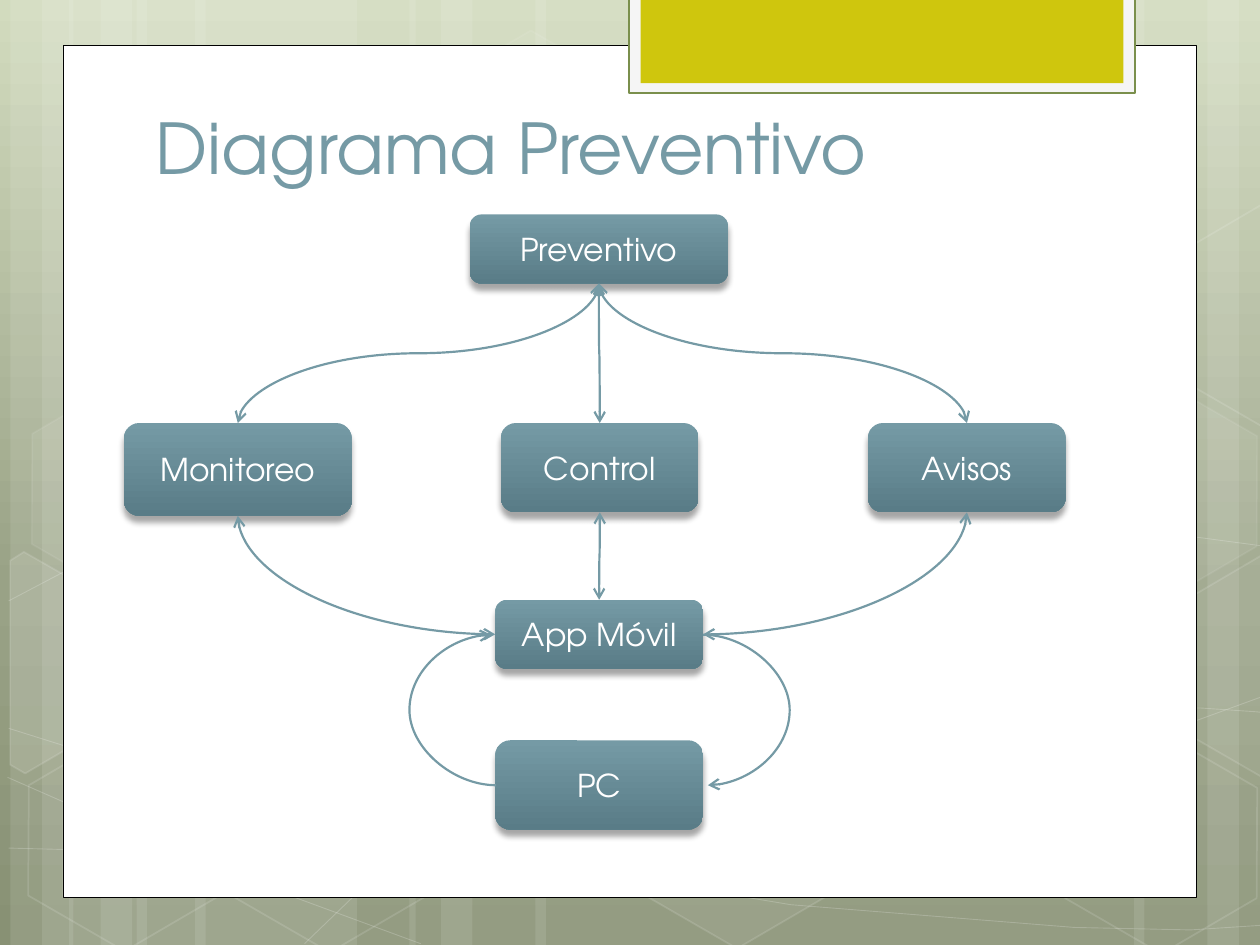
import copy
import dataclasses
import pptx
import pptx.dml.color
import pptx.enum.shapes
import pptx.enum.text
import pptx.oxml.ns
import pptx.util

Pt = pptx.util.Pt
qn = pptx.oxml.ns.qn
SHAPES = pptx.enum.shapes.MSO_SHAPE
ANCHOR = pptx.enum.text.MSO_ANCHOR
ALIGN = pptx.enum.text.PP_ALIGN
TOP, LEFT, BOTTOM, RIGHT = range(4)  # connection sites of a box

@dataclasses.dataclass(frozen=True)
class Theme:
    font: str = "TeX Gyre Adventor"
    title_size: float = 40
    box_size: float = 18
    accent: str = "759AA5"
    accent_dark: str = "597C87"
    white: str = "FFFFFF"
    black: str = "000000"
    tab_frame: str = "F5F5F5"
    tab_line: str = "7A8F4C"
    tab: str = "CFC60D"
    background: tuple = ((0, "D2DBBE"), (0.62, "99A286"), (1, "889174"))

THEME = Theme()

# Background decoration, in points: stripes as left and width
STRIPES = [(78, 126), (6, 36), (24, 60), (111.5, 126), (39.5, 36), (57.5, 60),
           (528, 126), (690, 36), (648, 60), (306, 222), (234, 36), (252, 60)]
# Fine lines that sweep across the slide
SWEEPS = [
    [(5, 484.6), (137, 488), (330, 479), (570, 444), (650, 424), (725, 396.7)],
    [(5, 343.4), (40, 325), (87, 310.3), (250, 278.6), (471, 278.6), (725, 312.5)],
    [(4.3, 444.2), (120, 495), (240.5, 539.3)],
    [(5, 416.2), (92, 443.5), (257, 484.6), (452, 517), (614, 530), (680.4, 531.4), (725, 528.5)],
    [(174, 539.3), (217.4, 497.5), (279.4, 460), (338.4, 438.5), (438, 416), (489.6, 409.7),
     (571.7, 404.6), (686, 404.6), (718, 406.8), (724.3, 407.5)],
]
# Hexagons: left, top, fill opacity (0 is no fill), line opacity
HEXAGONS = [(240.5, 26, 4, 8), (358, 424, 6, 12), (8, 425.5, 0, 12), (10, 224.6, 7, 8),
            (125.3, 426.2, 0, 12), (542, 326, 10, 12), (600.5, 427, 0, 12), (600.5, 226, 7, 8)]
LEFT_EDGE = [(5.8, 320.4), (13.7, 315.4), (69, 347), (68.4, 410.4), (14.4, 442), (5.8, 437)]
RIGHT_EDGE = [(666.7, 349.2), (720.7, 317.5), (726.5, 321), (726.5, 441.4), (721.4, 444.2), (666.7, 412.6)]
UPPER_EDGE = [(x, y - 200.4) for x, y in RIGHT_EDGE]

# Diagram boxes: left, top, width, height
BOXES = {
    "Preventivo": (268.5, 122.5, 147.5, 39.5),
    "Monitoreo": (70.75, 241.75, 130.25, 53),
    "Control": (286.25, 241.75, 113, 51),
    "Avisos": (496, 241.75, 113, 51),
    "App Móvil": (283, 342.75, 118.75, 39.5),
    "PC": (283, 423, 118.75, 51),
}
LINKS = [("Preventivo", "Monitoreo", TOP), ("Monitoreo", "App Móvil", LEFT),
         ("Preventivo", "Control", TOP), ("Preventivo", "Avisos", TOP),
         ("Control", "App Móvil", TOP), ("Avisos", "App Móvil", RIGHT)]
LOOPS = [(401.75, 362.75, 404.5, 448.75), (283.5, 448.75, 280.75, 362.75)]

def rgb(color):
    return pptx.dml.color.RGBColor.from_string(color)

def add_child(parent, tag, **attributes):
    child = parent.makeelement(qn(tag), {key: str(value) for key, value in attributes.items()})
    parent.append(child)
    return child

def set_gradient(fill, owner, stops):
    """Fill downwards through (position, color) stops."""
    fill.gradient()
    fill.gradient_angle = 270
    stop_list = next(owner.iter(qn("a:gsLst")))
    while len(stop_list) < len(stops):
        stop_list.append(copy.deepcopy(stop_list[-1]))
    for stop, (position, color) in zip(fill.gradient_stops, stops):
        stop.position = position
        stop.color.rgb = rgb(color)

def paint(fill, owner, color, opacity):
    if color is None:
        fill.background()
        return
    fill.solid()
    fill.fore_color.rgb = rgb(color)
    if opacity < 100:
        add_child(owner.find(qn("a:solidFill"))[0], "a:alpha", val=opacity * 1000)

def style(shape, fill=None, line=None, line_width=1, fill_opacity=100, line_opacity=100):
    shape.shadow.inherit = False
    shape.line.width = Pt(line_width)
    properties = shape.element.spPr
    paint(shape.fill, properties, fill, fill_opacity)
    paint(shape.line.fill, properties.find(qn("a:ln")), line, line_opacity)

def add_preset(slide, kind, left, top, width, height, **look):
    shape = slide.shapes.add_shape(kind, Pt(left), Pt(top), Pt(width), Pt(height))
    style(shape, **look)
    return shape

def add_outline(slide, points, close, **look):
    points = [(Pt(x), Pt(y)) for x, y in points]
    builder = slide.shapes.build_freeform(*points[0])
    builder.add_line_segments(points[1:], close=close)
    style(builder.convert_to_shape(), line=THEME.white, **look)

def add_text(shape, text, size, color, anchor, align):
    frame = shape.text_frame
    frame.word_wrap = True
    frame.vertical_anchor = anchor
    paragraph = frame.paragraphs[0]
    paragraph.alignment = align
    run = paragraph.add_run()
    run.text = text
    run.font.name = THEME.font
    run.font.size = Pt(size)
    run.font.color.rgb = rgb(color)

def add_box(slide, text, bounds):
    shape = add_preset(slide, SHAPES.ROUNDED_RECTANGLE, *bounds)
    set_gradient(shape.fill, shape.element, ((0, THEME.accent), (1, THEME.accent_dark)))
    shadow = add_child(shape.element.spPr.find(qn("a:effectLst")), "a:outerShdw", blurRad=Pt(3.5),
                       dist=Pt(4), dir=5400000, algn="ctr", rotWithShape=0)
    add_child(add_child(shadow, "a:srgbClr", val=THEME.black), "a:alpha", val=34000)
    add_text(shape, text, THEME.box_size, THEME.white, ANCHOR.MIDDLE, ALIGN.CENTER)
    return shape

def add_curve(slide, ends, *heads):
    kind = pptx.enum.shapes.MSO_CONNECTOR.CURVE
    connector = slide.shapes.add_connector(kind, *(Pt(value) for value in ends))
    connector.line.color.rgb = rgb(THEME.accent)
    connector.line.width = Pt(1.25)
    properties = connector.element.spPr
    for tag in heads:
        add_child(properties.find(qn("a:ln")), tag, type="arrow")
    add_child(properties, "a:effectLst")
    return connector

def add_link(slide, start, end, end_site):
    """Leave the bottom of one box and arrive at a site of another."""
    connector = add_curve(slide, (0, 0, 0, 0), "a:headEnd", "a:tailEnd")
    connector.begin_connect(start, BOTTOM)
    connector.end_connect(end, end_site)
    x1, y1, x2, y2 = connector.begin_x, connector.begin_y, connector.end_x, connector.end_y
    # A curve that starts downwards is a sideways one turned by a quarter
    width, height = abs(y2 - y1), abs(x2 - x1)
    connector.left, connector.top = (x1 + x2 - width) // 2, (y1 + y2 - height) // 2
    connector.width, connector.height = width, height
    frame = connector.element.spPr.find(qn("a:xfrm"))
    frame.set("rot", str((90 if x2 < x1 else 270) * 60000))
    frame.set("flipH", "0" if x2 < x1 else "1")
    frame.set("flipV", "0")
    if end_site != TOP:
        connector.element.spPr.find(qn("a:prstGeom")).set("prst", "curvedConnector2")

def add_loop(slide, ends):
    geometry = add_curve(slide, ends, "a:tailEnd").element.spPr.find(qn("a:prstGeom"))
    add_child(geometry.find(qn("a:avLst")), "a:gd", name="adj1", fmla="val 1800000")

def add_backdrop(slide):
    set_gradient(slide.background.fill, slide.element, THEME.background)
    for left, width in STRIPES:
        add_preset(slide, SHAPES.RECTANGLE, left, 0, width, 540, fill=THEME.white, fill_opacity=10)
    for points in SWEEPS:
        add_outline(slide, points, False, line_width=0.5, line_opacity=20)
    for left, top, fill_opacity, line_opacity in HEXAGONS:
        hexagon = add_preset(slide, SHAPES.HEXAGON, left, top, 126, 109.5, line=THEME.white,
                             fill=THEME.white if fill_opacity else None,
                             fill_opacity=fill_opacity, line_opacity=line_opacity)
        hexagon.rotation = 30
        hexagon.adjustments[0] = 0.285
    for points, fill, opacity in ((LEFT_EDGE, THEME.white, 10), (RIGHT_EDGE, THEME.white, 4),
                                  (UPPER_EDGE, None, 100)):
        add_outline(slide, points, True, fill=fill, fill_opacity=opacity, line_opacity=12)

def add_panel(slide):
    for bounds, look in (
            ((36, 26, 648, 487), dict(fill=THEME.white, line=THEME.black, line_width=0.5)),
            ((359.25, -1.5, 289.5, 54.75), dict(fill=THEME.tab_frame, line=THEME.tab_line, line_width=1.25)),
            ((366, -1.5, 276, 49), dict(fill=THEME.tab))):
        add_preset(slide, SHAPES.RECTANGLE, *bounds, **look)

def main():
    presentation = pptx.Presentation()
    presentation.slide_width, presentation.slide_height = Pt(720), Pt(540)
    slide = presentation.slides.add_slide(presentation.slide_layouts[6])
    add_backdrop(slide)
    add_panel(slide)
    # Title
    title = slide.shapes.add_textbox(Pt(82), Pt(21), Pt(553), Pt(90))
    add_text(title, "Diagrama Preventivo", THEME.title_size, THEME.accent, ANCHOR.BOTTOM, ALIGN.LEFT)
    # Diagram
    boxes = {text: add_box(slide, text, bounds) for text, bounds in BOXES.items()}
    for start, end, end_site in LINKS:
        add_link(slide, boxes[start], boxes[end], end_site)
    for ends in LOOPS:
        add_loop(slide, ends)
    presentation.save("out.pptx")

if __name__ == "__main__":
    main()
